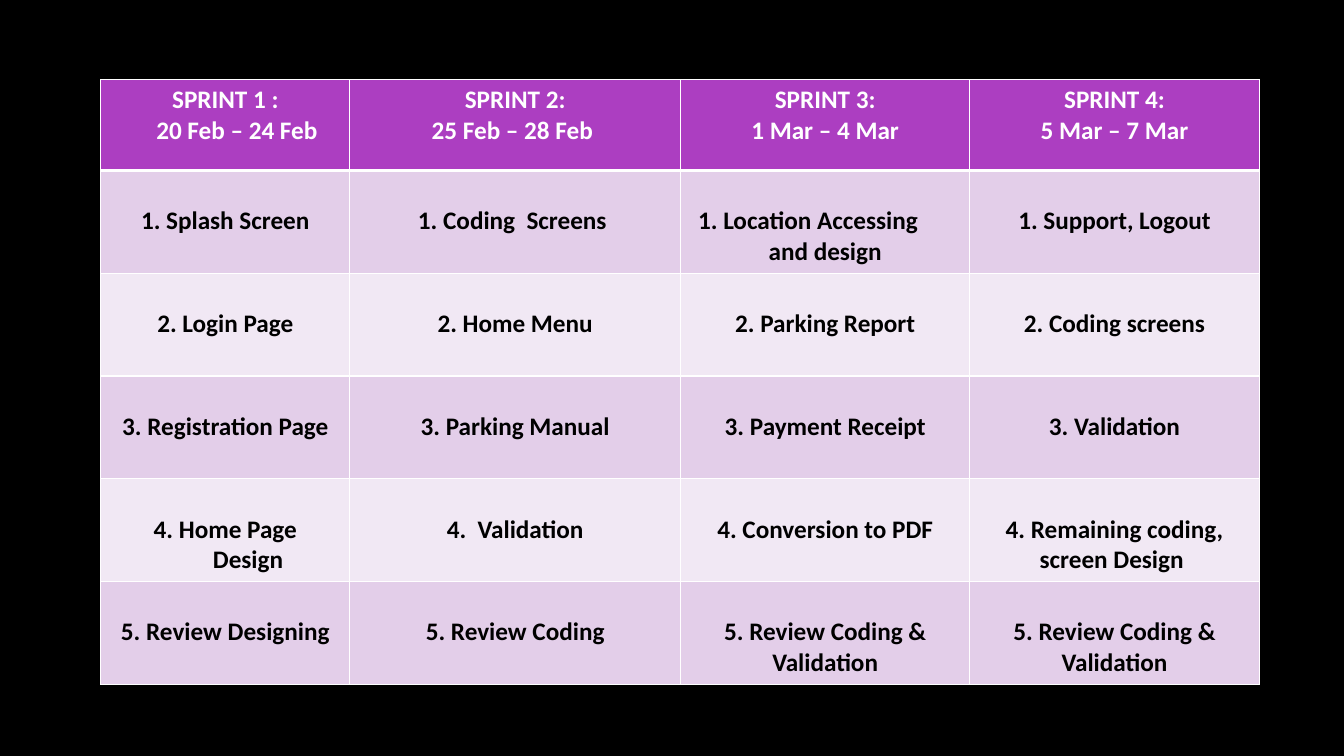
import pptx
import pptx.util
import pptx.dml.color
import pptx.enum.text
import pptx.oxml
import pptx.oxml.ns

Inches = pptx.util.Inches
Pt = pptx.util.Pt
RGBColor = pptx.dml.color.RGBColor

BLACK = RGBColor(0, 0, 0)
WHITE = RGBColor(0xFF, 0xFF, 0xFF)
PURPLE = RGBColor(0xAC, 0x3E, 0xC1)
LILAC = RGBColor(0xE3, 0xCE, 0xE9)
PALE = RGBColor(0xF1, 0xE8, 0xF4)

WIDTHS = [2.47, 3.28, 2.87, 2.87]
HEAD_H = 0.9
TASK_H = 1.02
SHIFT = 0.34

SPRINTS = [
    [["SPRINT 1 :", ("20 Feb – 24 Feb", 0.23)],
     ["SPRINT 2:", "25 Feb – 28 Feb "],
     ["SPRINT 3:", "1 Mar – 4 Mar"],
     ["SPRINT 4:", "5 Mar – 7 Mar"]],
    [["1. Splash Screen"], ["1. Coding  Screens "],
     ["1. Location Accessing", ("and design", SHIFT)],
     ["1. Support, Logout"]],
    [["2. Login Page"], ["2. Home Menu"],
     ["2. Parking Report"], ["2. Coding screens"]],
    [["3. Registration Page"], ["3. Parking Manual"],
     ["3. Payment Receipt"], ["3. Validation"]],
    [["4. Home Page", ("Design", 0.45)], ["4.  Validation"],
     ["4. Conversion to PDF"], ["4. Remaining coding, screen Design "]],
    [["5. Review Designing"], ["5. Review Coding"],
     ["5. Review Coding & Validation"], ["5. Review Coding & Validation"]],
]


def add_edge(cell, side, width):
    props = cell._tc.get_or_add_tcPr()
    props.append(pptx.oxml.parse_xml(
        f'<a:ln{side} {pptx.oxml.ns.nsdecls("a")} w="{Pt(width)}">'
        f'<a:solidFill><a:srgbClr val="{WHITE}"/></a:solidFill>'
        f'</a:ln{side}>'))


def add_line(para, text, indent, color):
    para.alignment = pptx.enum.text.PP_ALIGN.CENTER
    if indent:
        para._p.get_or_add_pPr().set("marL", str(Inches(indent)))
    run = para.add_run()
    run.text = text
    font = run.font
    font.name = "Calibri"
    font.size = Pt(18)
    font.bold = True
    font.color.rgb = color


def fill_cell(cell, lines, row):
    head = row == 0
    edges = {"L": 1, "R": 1, "T": 3 if row == 1 else 1, "B": 3 if head else 1}
    for side, width in edges.items():
        add_edge(cell, side, width)
    cell.fill.solid()
    cell.fill.fore_color.rgb = PURPLE if head else LILAC if row % 2 else PALE
    cell.margin_top = Inches(0.05 if head else 0.35)
    frame = cell.text_frame
    for i, line in enumerate(lines):
        text, indent = line if isinstance(line, tuple) else (line, 0)
        para = frame.add_paragraph() if i else frame.paragraphs[0]
        add_line(para, text, indent, WHITE if head else BLACK)


def add_plan(slide):
    tasks = len(SPRINTS) - 1
    table = slide.shapes.add_table(
        len(SPRINTS), len(WIDTHS), Inches(1), Inches(0.79),
        Inches(sum(WIDTHS)), Inches(HEAD_H + tasks * TASK_H)).table
    for col, width in zip(table.columns, WIDTHS):
        col.width = Inches(width)
    for r, row in enumerate(SPRINTS):
        table.rows[r].height = Inches(TASK_H if r else HEAD_H)
        for c, lines in enumerate(row):
            fill_cell(table.cell(r, c), lines, r)
    table.cell(1, 2).margin_right = Inches(0.1 + SHIFT)


def main():
    deck = pptx.Presentation()
    deck.slide_width = Inches(13.33)
    deck.slide_height = Inches(7.5)
    slide = deck.slides.add_slide(deck.slide_layouts[6])
    back = slide.background.fill
    back.solid()
    back.fore_color.rgb = BLACK
    add_plan(slide)
    deck.save("out.pptx")


if __name__ == "__main__":
    main()
